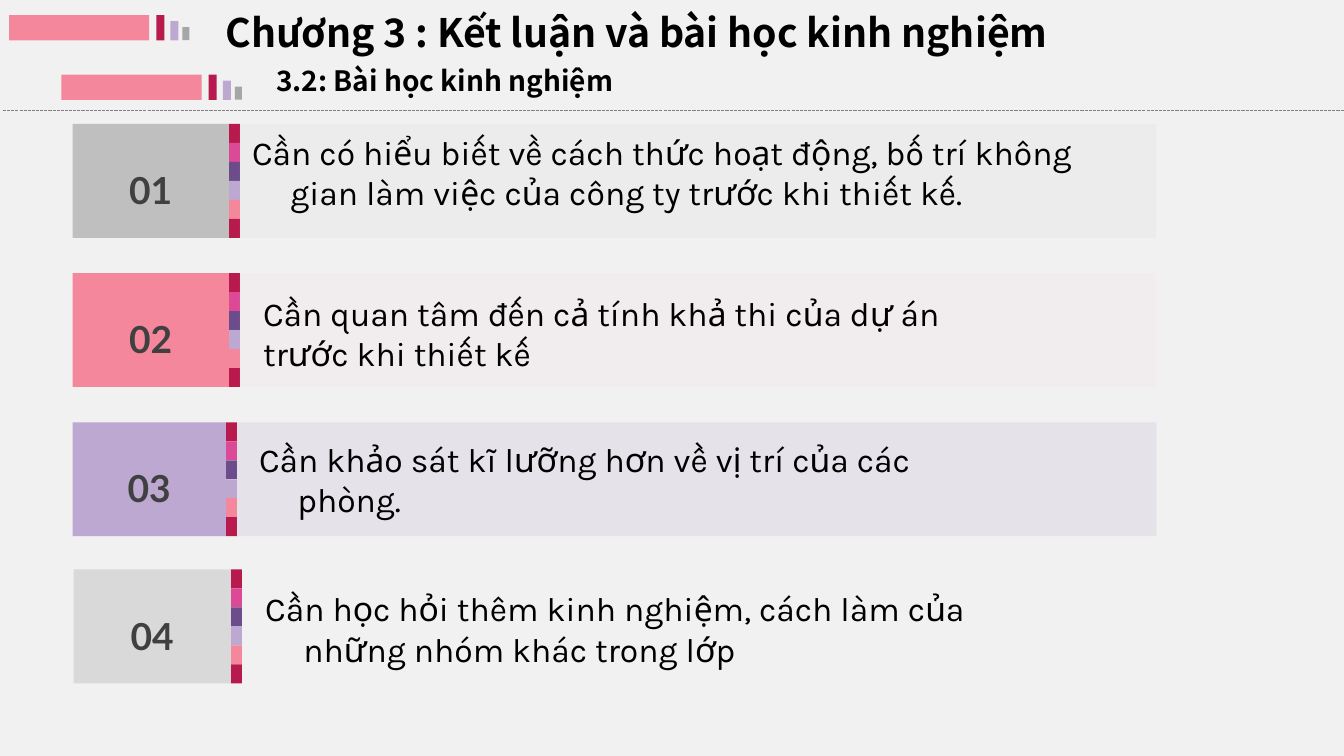
from pptx import Presentation
from pptx.dml.color import RGBColor
from pptx.enum.dml import MSO_LINE
from pptx.enum.shapes import MSO_CONNECTOR, MSO_SHAPE
from pptx.enum.text import MSO_ANCHOR, MSO_AUTO_SIZE, PP_ALIGN
from pptx.oxml.ns import qn
from pptx.util import Inches, Pt
from lxml import etree

RECT = MSO_SHAPE.RECTANGLE
LINE = MSO_CONNECTOR.STRAIGHT
DASH = MSO_LINE.SQUARE_DOT
TOP, MID = MSO_ANCHOR.TOP, MSO_ANCHOR.MIDDLE
LEFT, CENTER = PP_ALIGN.LEFT, PP_ALIGN.CENTER
FIXED = MSO_AUTO_SIZE.NONE

HEAD = "Chương 3 : Kết luận và bài học kinh nghiệm"
SUB = "3.2: Bài học kinh nghiệm"
HEAD_FONT = "Noto Sans CJK KR"
BANDS = ["B81A4D", "DC4997", "6C4C8B", "BDA8D1", "F4879C", "B81A4D"]
BARS = [(0, 1.39, 0.25, "F4879C"), (1.46, 0.08, 0.25, "B81A4D"),
        (1.6, 0.08, 0.19, "BDA8D1"), (1.72, 0.07, 0.13, "A6A6A6")]
MARKS = [(0.09, 0.4), (0.61, 0.99)]
ROWS = [
    dict(text="Cần có hiểu biết về cách thức hoạt động, bố trí không gian làm việc "
              "của công ty trước khi thiết kế.",
         top=1.23, left=0.72, band=2.27, tile="BFBFBF", panel="D9D9D9",
         box=(2.5, 0.07, 8.21), hang=0.38),
    dict(text="Cần quan tâm đến cả tính khả thi của dự án trước khi thiết kế",
         top=2.71, left=0.72, band=2.27, tile="F4879C", panel="F2DCE0",
         box=(2.61, 0.19, 7.38), hang=0),
    dict(text="Cần khảo sát kĩ lưỡng hơn về vị trí của các phòng.",
         top=4.19, left=0.72, band=2.24, tile="BDA8D1", panel="BDA8D1",
         box=(2.57, 0.16, 7.28), hang=0.38),
    dict(text="Cần học hỏi thêm kinh nghiệm, cách làm của những nhóm khác trong lớp",
         top=5.65, left=0.73, band=2.29, tile="D9D9D9", panel=None,
         box=(2.63, 0.18, 7.98), hang=0.38),
]
ROW_H, BAND_W, RIGHT = 1.13, 0.11, 11.47


def color(code):
    return RGBColor.from_string(code)


def place(shape, x, y, w, h):
    shape.left, shape.top = Inches(x), Inches(y)
    shape.width, shape.height = Inches(w), Inches(h)


def rect(host, x, y, w, h, fill, alpha=None):
    shape = host.add_shape(RECT, Inches(x), Inches(y), Inches(w), Inches(h))
    shape.shadow.inherit = False
    shape.line.fill.background()
    shape.fill.solid()
    shape.fill.fore_color.rgb = color(fill)
    if alpha:
        tone = shape.fill._xPr.find(".//" + qn("a:srgbClr"))
        etree.SubElement(tone, qn("a:alpha")).set("val", str(alpha * 1000))


def write(shape, text, size, font, ink="000000", bold=False, align=LEFT,
          anchor=TOP, hang=0, inset=None):
    frame = shape.text_frame
    frame.word_wrap = True
    frame.auto_size = FIXED
    frame.vertical_anchor = anchor
    if inset is not None:
        frame.margin_left = frame.margin_right = Inches(inset)
        frame.margin_top = frame.margin_bottom = Inches(inset)
    para = frame.paragraphs[0]
    para.alignment = align
    if hang:
        props = para._p.get_or_add_pPr()
        props.set("marL", str(Inches(hang)))
        props.set("indent", str(-Inches(hang)))
    run = para.add_run()
    run.text = text
    run.font.size, run.font.name, run.font.bold = Pt(size), font, bold
    run.font.color.rgb = color(ink)


def label(host, x, y, w, h, text, **form):
    box = host.add_textbox(Inches(x), Inches(y), Inches(w), Inches(h))
    write(box, text, **form)


def rule(host, x, end, y):
    line = host.add_connector(LINE, Inches(x), Inches(y), Inches(end), Inches(y))
    line.line.color.rgb = color("808080")
    line.line.width = Pt(0.75)
    line.line.dash_style = DASH
    etree.SubElement(line._element.spPr, qn("a:effectLst"))


def mark(host, x, base):
    for shift, w, h, fill in BARS:
        rect(host, x + shift, base - h, w, h, fill)


def lesson(host, num, row):
    top, left, band = row["top"], row["left"], row["band"]
    step = ROW_H / len(BANDS)
    for i, fill in enumerate(BANDS):
        rect(host, band, top + i * step, BAND_W, step, fill)
    if row["panel"]:
        start = band + BAND_W
        rect(host, start, top, RIGHT - start, ROW_H, row["panel"], alpha=20)
    wide = band - left
    rect(host, left, top, wide, ROW_H, row["tile"])
    x, drop, w = row["box"]
    label(host, x, top + drop, w, 0.81, row["text"], size=24, font="Karla",
          anchor=MID, hang=row["hang"], inset=0)
    label(host, left, top + 0.43, wide, 0.45, f"{num:02}", size=26.6, font="Lato",
          ink="404040", bold=True, align=CENTER, inset=0)


def main():
    deck = Presentation()
    deck.slide_width, deck.slide_height = Inches(13.33), Inches(7.5)
    slide = deck.slides.add_slide(deck.slide_layouts[5])
    slide.background.fill.solid()
    slide.background.fill.fore_color.rgb = color("F1F1F1")
    shapes = slide.shapes
    place(shapes.title, 2.14, 0.03, 9.77, 0.57)
    write(shapes.title, HEAD, size=28, font=HEAD_FONT, bold=True)
    label(shapes, 2.64, 0.58, 8.61, 0.44, SUB, size=20, font=HEAD_FONT, bold=True)
    rule(shapes, 0.03, 13.33, 1.1)
    for x, base in MARKS:
        mark(shapes.add_group_shape().shapes, x, base)
    for num, row in enumerate(ROWS, 1):
        lesson(shapes.add_group_shape().shapes, num, row)
    deck.save("out.pptx")


if __name__ == "__main__":
    main()
